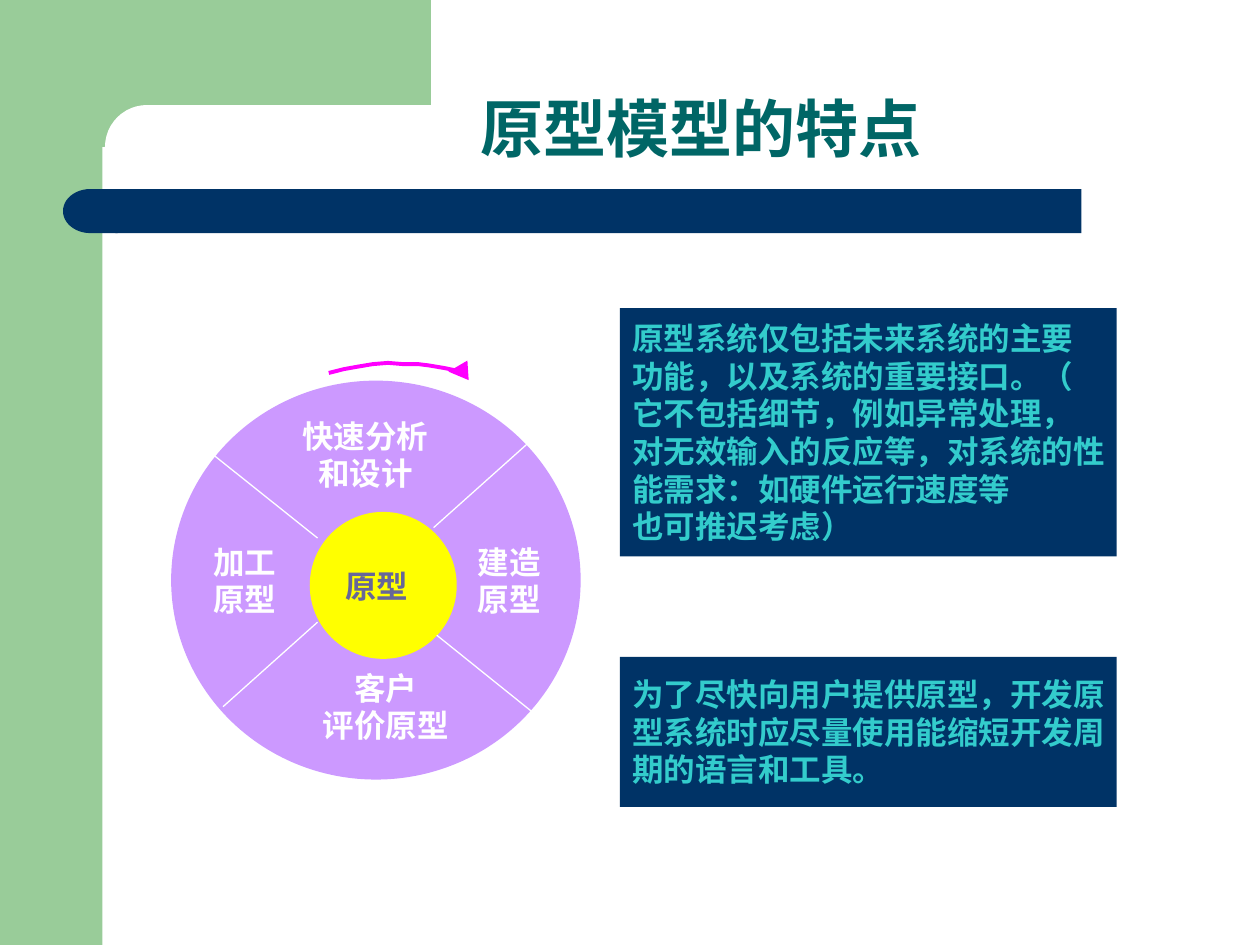
from pptx import Presentation
from pptx.dml.color import RGBColor
from pptx.enum.shapes import MSO_CONNECTOR, MSO_SHAPE as Form
from pptx.enum.text import MSO_ANCHOR, PP_ALIGN as Align
from pptx.oxml.ns import qn
from pptx.util import Inches, Pt
from lxml.etree import SubElement

# Grid of 120 columns by 90 rows, twelve cells to the inch
CELL = Inches(1) / 12
FONT = "Noto Sans CJK SC"
GREEN, NAVY, LILAC, WHITE = "99CC99", "003366", "CC99FF", "FFFFFF"
YELLOW, PINK, AQUA, TEAL, SLATE = "FFFF00", "FF00FF", "33CCCC", "006666", "666699"

deck = Presentation()
deck.slide_width, deck.slide_height = Inches(10), Inches(7.5)
slide = deck.slides.add_slide(deck.slide_layouts[6])
shapes = slide.shapes


def color(code):
    return RGBColor.from_string(code)


def write(text, at, size=18, ink=WHITE, face=FONT, align=Align.CENTER, gap=Pt(21.5)):
    """Put each line of text in its own bold paragraph, centred by height."""
    frame = shapes.add_textbox(*[round(n * CELL) for n in at]).text_frame
    frame.word_wrap = True
    frame.vertical_anchor = MSO_ANCHOR.MIDDLE
    frame.margin_left = Inches(0.1 if align == Align.LEFT else 0)
    frame.margin_right = 0
    frame.text = text
    for para in frame.paragraphs:
        para.alignment, para.line_spacing = align, gap
        for run in para.runs:
            font = run.font
            font.name, font.size, font.bold = face, Pt(size), True
            font.color.rgb = color(ink)
            SubElement(font._element, qn("a:ea"), typeface=FONT)


# Frame, title bar, wheel and panels, from back to front
panels = [(59.05, 29.35, 47.3, 23.65), (59.05, 62.55, 47.3, 14.3)]
parts = [
    (Form.RECTANGLE, (0, 0, 9.75, 90), GREEN),
    (Form.RECTANGLE, (8.75, 0, 32.3, 14), GREEN),
    (Form.ROUNDED_RECTANGLE, (10, 10, 67, 8), WHITE),
    (Form.RECTANGLE, (11, 18, 92, 4.2), NAVY),
    (Form.FLOWCHART_DELAY, (6, 18, 5.2, 4.2), NAVY),
    (Form.OVAL, (16.3, 36.25, 39, 38), LILAC),
    (Form.OVAL, (29.5, 48.75, 14, 14), YELLOW),
    *[(Form.RECTANGLE, panel, NAVY) for panel in panels],
]
for form, at, fill in parts:
    part = shapes.add_shape(form, *[round(n * CELL) for n in at])
    part.shadow.inherit = False
    part.fill.solid()
    part.fill.fore_color.rgb = color(fill)
    part.line.fill.background()
    if form == Form.ROUNDED_RECTANGLE:
        part.adjustments[0] = 0.5
    if form == Form.FLOWCHART_DELAY:
        part._element.spPr.find(qn("a:xfrm")).set("flipH", "1")

# Spokes between the four steps
spokes = [
    (20.3, 43.3, 30.25, 51.25),
    (41.6, 60.5, 51.25, 68.25),
    (50.25, 42.25, 41.3, 50.25),
    (21.25, 67.3, 30.25, 59.25),
]
for ends in spokes:
    spoke = shapes.add_connector(MSO_CONNECTOR.STRAIGHT, *[round(n * CELL) for n in ends])
    spoke.line.color.rgb = color(WHITE)
    spoke.line.width = Pt(0.75)
    SubElement(spoke._element.spPr, qn("a:effectLst"))

# Curved arrow over the wheel, in inches
curve = [
    (2.61, 2.96), (2.73, 2.93), (2.84, 2.91), (2.96, 2.89), (3.08, 2.88), (3.2, 2.89),
    (3.26, 2.89), (3.32, 2.89), (3.4, 2.9), (3.52, 2.92), (3.62, 2.94), (3.68, 2.95),
    (3.56, 2.95),
]
dots = [(Inches(x), Inches(y)) for x, y in curve]
pen = shapes.build_freeform(*dots[0], scale=1.0)
pen.add_line_segments(dots[1:], close=False)
arrow = pen.convert_to_shape()
arrow.shadow.inherit = False
arrow.fill.background()
arrow.line.color.rgb = color(PINK)
arrow.line.width = Pt(2.25)
SubElement(arrow.line._get_or_add_ln(), qn("a:tailEnd"), type="triangle", w="lg", len="lg")

write("原型模型的特点", (36.1, 8.2, 61.4, 8.8), size=36, ink=TEAL, face="Arial", gap=0.9)
write("加工\n原型", (19.3, 52.3, 8, 6))
write("原型", (31.4, 52.8, 9, 6), ink=SLATE)
write("快速分析\n和设计", (28.3, 40.3, 13, 6))
write("建造\n原型", (44.3, 52.3, 9, 6), align=Align.LEFT)
write("客户\n评价原型", (30.25, 64.3, 13, 6))

notes = [
    "原型系统仅包括未来系统的主要\n功能，以及系统的重要接口。（\n它不包括细节，例如异常处理，\n"
    "对无效输入的反应等，对系统的性\n能需求：如硬件运行速度等\n也可推迟考虑）",
    "为了尽快向用户提供原型，开发原\n型系统时应尽量使用能缩短开发周\n期的语言和工具。",
]
for note, panel in zip(notes, panels):
    write(note, panel, ink=AQUA, align=Align.LEFT)

deck.save("out.pptx")
